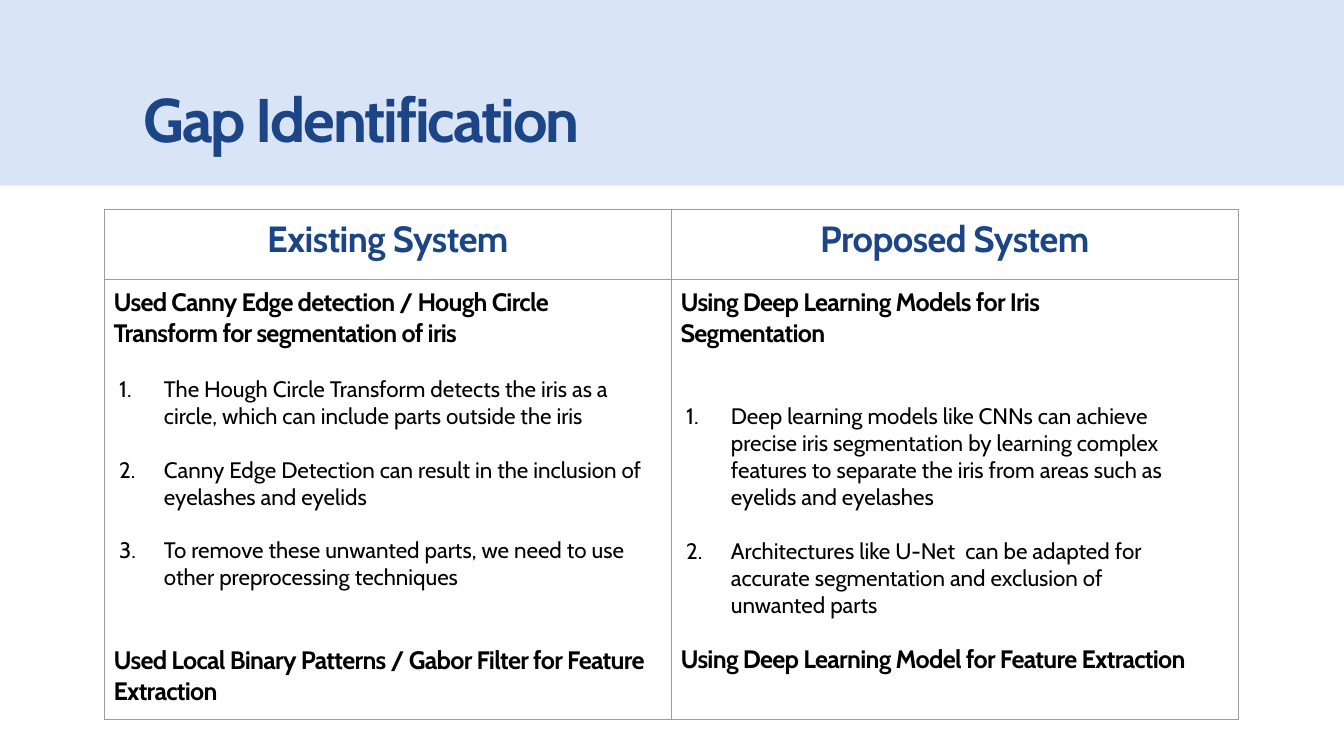
from dataclasses import dataclass

from lxml.etree import SubElement
from pptx import Presentation
from pptx.dml.color import RGBColor
from pptx.enum.shapes import MSO_SHAPE
from pptx.enum.text import MSO_ANCHOR, PP_ALIGN
from pptx.oxml import parse_xml
from pptx.oxml.ns import nsdecls, qn
from pptx.util import Pt

NAVY = RGBColor(0x1B, 0x45, 0x87)
PALE_BLUE = RGBColor(0xD9, 0xE4, 0xF7)
BLACK = RGBColor(0, 0, 0)
GRAY = RGBColor(0x9E, 0x9E, 0x9E)
FONT = "Cabin"


@dataclass(frozen=True)
class TextStyle:
    size: float
    color: RGBColor
    bold: bool
    tracking: float = 0
    align: PP_ALIGN = PP_ALIGN.LEFT
    margin: float = 0
    hanging: float = 0


TITLE = TextStyle(44, NAVY, True, -1.5)
HEADER = TextStyle(26, NAVY, True, -0.4, PP_ALIGN.CENTER)
CLAIM = TextStyle(18, BLACK, True, -0.5, margin=6.5)
POINT = TextStyle(16, BLACK, False, margin=42.5, hanging=32)


@dataclass(frozen=True)
class Line:
    text: str
    style: TextStyle
    space_before: float = 0


@dataclass(frozen=True)
class System:
    name: str
    margin_right: float
    lines: list[Line]


SYSTEMS = [
    System("Existing System", 17, [
        Line("Used Canny Edge detection / Hough Circle Transform for segmentation of iris", CLAIM),
        Line("The Hough Circle Transform detects the iris as a circle, "
             "which can include parts outside the iris", POINT, 19.3),
        Line("Canny Edge Detection can result in the inclusion of eyelashes and eyelids", POINT, 19),
        Line("To remove these unwanted parts, we need to use other preprocessing techniques", POINT, 19),
        Line("Used Local Binary Patterns / Gabor Filter for Feature Extraction", CLAIM, 38.7),
    ]),
    System("Proposed System", 36, [
        Line("Using Deep Learning Models for Iris Segmentation", CLAIM),
        Line("Deep learning models like CNNs can achieve precise iris segmentation by learning "
             "complex features to separate the iris from areas such as eyelids and eyelashes", POINT, 38.5),
        Line("Architectures like U-Net  can be adapted for accurate segmentation "
             "and exclusion of unwanted parts", POINT, 19),
        Line("Using Deep Learning Model for Feature Extraction", CLAIM, 18),
    ]),
]


def write_lines(frame, lines: list[Line]) -> None:
    for index, line in enumerate(lines):
        paragraph = frame.add_paragraph() if index else frame.paragraphs[0]
        style = line.style
        paragraph.text = line.text
        paragraph.alignment = style.align
        paragraph.space_before = Pt(line.space_before)
        properties = paragraph._p.get_or_add_pPr()
        properties.set("marL", str(Pt(style.margin)))
        properties.set("indent", str(-Pt(style.hanging)))
        if style.hanging:
            SubElement(properties, qn("a:buAutoNum"), type="arabicPeriod")
        for run in paragraph.runs:
            run.font.name = FONT
            run.font.size = Pt(style.size)
            run.font.bold = style.bold
            run.font.color.rgb = style.color
            run._r.get_or_add_rPr().set("spc", str(round(style.tracking * 100)))


def outline_cell(cell) -> None:
    properties = cell._tc.get_or_add_tcPr()
    for position, side in enumerate("LRTB"):
        properties.insert(position, parse_xml(
            f'<a:ln{side} {nsdecls("a")} w="{Pt(0.75)}"><a:solidFill>'
            f'<a:srgbClr val="{GRAY}"/></a:solidFill></a:ln{side}>'))


def fill_cell(cell, lines: list[Line], margin_right: float = 0) -> None:
    cell.fill.background()
    cell.margin_left = cell.margin_bottom = 0
    cell.margin_top = Pt(5.8)
    cell.margin_right = Pt(margin_right)
    cell.vertical_anchor = MSO_ANCHOR.TOP
    write_lines(cell.text_frame, lines)
    outline_cell(cell)


def add_band(slide, width: int) -> None:
    band = slide.shapes.add_shape(MSO_SHAPE.RECTANGLE, 0, 0, width, Pt(132.6))
    band.shadow.inherit = False
    band.fill.solid()
    band.fill.fore_color.rgb = PALE_BLUE
    band.line.fill.background()
    slide.shapes._spTree.insert(2, band._element)


def write_title(slide, text: str) -> None:
    title = slide.shapes.title
    title.left, title.top, title.width, title.height = Pt(102.5), Pt(29.5), Pt(438), Pt(81)
    frame = title.text_frame
    frame.margin_left = frame.margin_right = frame.margin_bottom = 0
    frame.margin_top = Pt(28)
    frame.vertical_anchor = MSO_ANCHOR.TOP
    write_lines(frame, [Line(text, TITLE)])


def add_comparison(slide) -> None:
    comparison = slide.shapes.add_table(
        2, len(SYSTEMS), Pt(74.6), Pt(149.7), Pt(810), Pt(364.3)).table
    comparison.first_row = False
    comparison.horz_banding = False
    for row, height in zip(comparison.rows, (49.7, 314.6)):
        row.height = Pt(height)
    for column, system in enumerate(SYSTEMS):
        comparison.columns[column].width = Pt(405)
        fill_cell(comparison.cell(0, column), [Line(system.name, HEADER)])
        fill_cell(comparison.cell(1, column), system.lines, system.margin_right)


def main() -> None:
    deck = Presentation()
    deck.slide_width, deck.slide_height = Pt(960), Pt(540)
    slide = deck.slides.add_slide(deck.slide_layouts[5])
    add_band(slide, deck.slide_width)
    write_title(slide, "Gap Identification")
    add_comparison(slide)
    deck.save("out.pptx")


if __name__ == "__main__":
    main()
